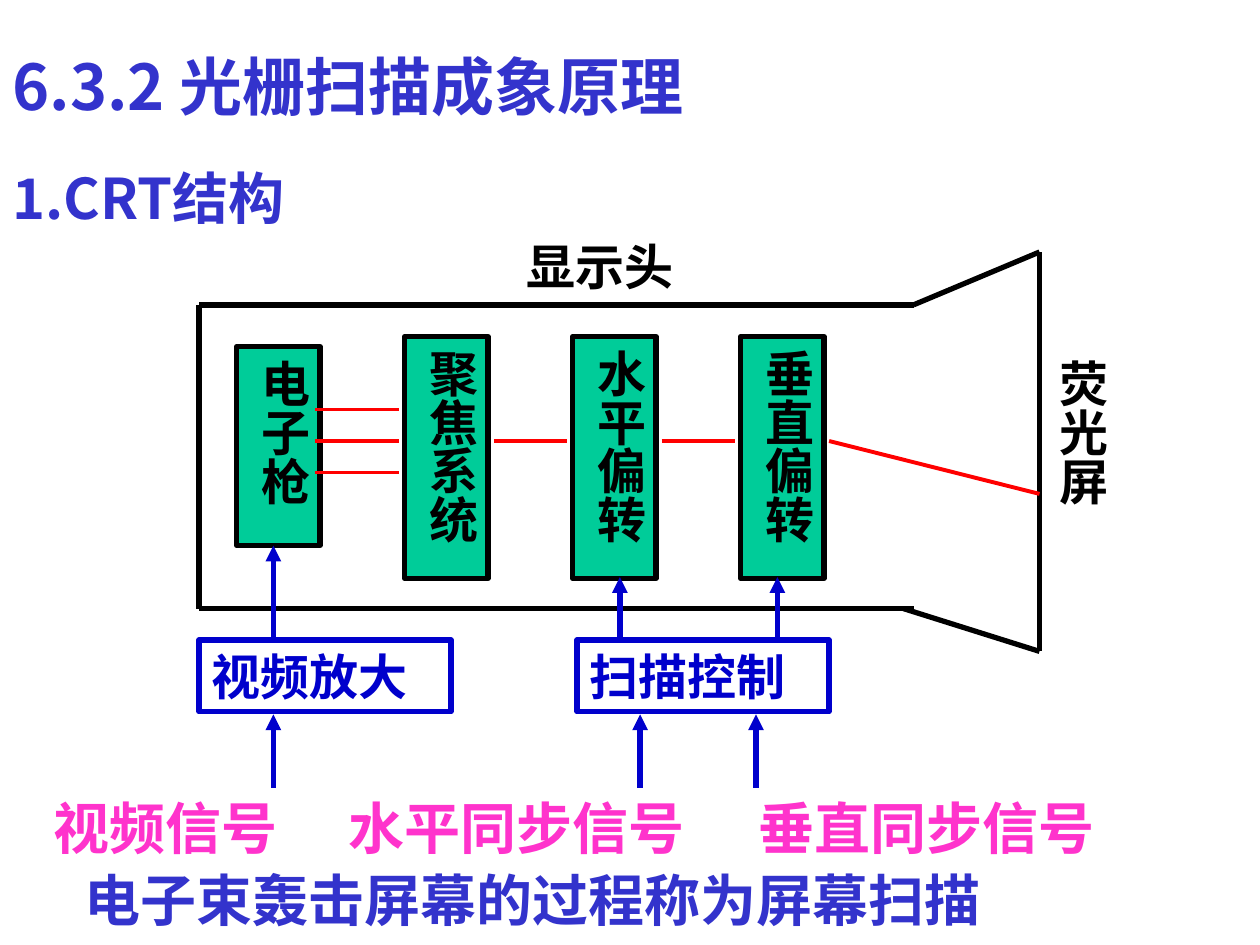
from dataclasses import dataclass
from lxml.etree import SubElement
from pptx import Presentation
from pptx.dml.color import RGBColor as RGB
from pptx.enum.shapes import MSO_CONNECTOR as Conn, MSO_SHAPE as Geo
from pptx.enum.text import MSO_ANCHOR as Anchor, MSO_AUTO_SIZE as Fit, PP_ALIGN as Align
from pptx.oxml.ns import qn
from pptx.util import Inches, Pt


@dataclass(frozen=True)
class Theme:
    ink: RGB = RGB(0, 0, 0)
    head: RGB = RGB(0x33, 0x33, 0xCC)
    blue: RGB = RGB(0, 0, 0xCC)
    pink: RGB = RGB(0xFF, 0x33, 0xCC)
    green: RGB = RGB(0, 0xCC, 0x99)
    beam: RGB = RGB(0xFF, 0, 0)
    sans: str = "Noto Sans CJK SC"
    serif: str = "Times New Roman"
    title: int = 36
    large: int = 32
    label: int = 28
    thick: float = 3
    thin: float = 2.25


theme = Theme()


def write(shape, text, size, color, font=theme.serif, upright=False):
    """Fill a shape with one bold line, running downwards if upright."""
    frame = shape.text_frame
    frame.text = text
    frame.word_wrap = True
    frame.auto_size = Fit.NONE
    frame.vertical_anchor = Anchor.TOP
    side, end = (0.05, 0.1) if upright else (0.1, 0.05)
    frame.margin_left = frame.margin_right = Inches(side)
    frame.margin_top = frame.margin_bottom = Inches(end)
    if upright:
        frame._txBody.bodyPr.set("vert", "eaVert")
    para = frame.paragraphs[0]
    para.alignment = Align.LEFT
    para.font.name = font
    para.font.size = Pt(size)
    para.font.bold = True
    para.font.color.rgb = color
    # East Asian glyphs always use the sans face
    SubElement(para._p.pPr.find(qn("a:defRPr")), qn("a:ea"), typeface=theme.sans)


def link(x1, y1, x2, y2, color, width, arrow=False):
    """Draw a straight line, with an arrowhead at its first point if asked."""
    line = shapes.add_connector(
        Conn.STRAIGHT, Inches(x1), Inches(y1), Inches(x2), Inches(y2))
    line.line.color.rgb = color
    line.line.width = Pt(width)
    props = line._element.spPr
    if arrow:
        SubElement(props.find(qn("a:ln")), qn("a:headEnd"), type="triangle")
    SubElement(props, qn("a:effectLst"))


deck = Presentation()
deck.slide_width, deck.slide_height = Inches(10), Inches(7.5)
slide = deck.slides.add_slide(deck.slide_layouts[5])
shapes = slide.shapes

# Title
title = shapes.title
title.left, title.top = Inches(0), Inches(0.33)
title.width, title.height = Inches(7), Inches(0.7)
write(title, "6.3.2 光栅扫描成象原理", theme.title, theme.head, theme.sans)

# Tube outline
left, neck, face = 1.58, 7.25, 8.25
roof, floor = 2.42, 4.83
for ends in [
    (left, roof, neck, roof),
    (left, floor, neck, floor),
    (left, roof, left, floor),
    (neck, roof, face, 2),
    (7.17, floor, face, 5.17),
    (face, 2, face, 5.17),
]:
    link(*ends, theme.ink, theme.thick)

# Parts inside the tube, evenly spaced
parts = [("电子枪", 2.75, 1.58), ("聚焦系统", 2.67, 1.92),
         ("水平偏转", 2.67, 1.92), ("垂直偏转", 2.67, 1.92)]
for i, (name, top, height) in enumerate(parts):
    part = shapes.add_shape(
        Geo.RECTANGLE, Inches(1.88 + i * 4 / 3), Inches(top),
        Inches(0.66), Inches(height))
    part.shadow.inherit = False
    part.fill.solid()
    part.fill.fore_color.rgb = theme.green
    part.line.color.rgb = theme.ink
    part.line.width = Pt(theme.thick)
    write(part, name, theme.label, theme.ink, upright=True)

# Electron beams
for y in (3.25, 3.5, 3.75):
    link(2.5, y, 3.17, y, theme.beam, theme.thin)
for x in (3.92, 5.25):
    link(x, 3.5, x + 0.58, 3.5, theme.beam, theme.thin)
link(6.58, 3.5, face, 3.92, theme.beam, theme.thin)

# Circuit boxes below the tube
for name, x in [("视频放大", 1.58), ("扫描控制", 4.58)]:
    box = shapes.add_shape(
        Geo.RECTANGLE, Inches(x), Inches(5.08), Inches(2), Inches(0.57))
    box.shadow.inherit = False
    box.fill.background()
    box.line.color.rgb = theme.blue
    box.line.width = Pt(theme.thick)
    write(box, name, theme.label, theme.blue)

# Arrows: signals into the boxes, boxes into the tube
for x in (2.17, 5.08, 6):
    link(x, 5.67, x, 6.25, theme.blue, theme.thick, arrow=True)
for x, tip in [(2.17, 4.33), (4.92, 4.58), (6.17, 4.58)]:
    link(x, tip, x, 5.08, theme.blue, theme.thick, arrow=True)

# Free text: heading, labels, signals and closing line
for text, x, y, w, h, size, color, font, upright in [
    ("1.CRT结构", 0, 1.25, 2.83, 1.17, theme.large, theme.head, theme.sans, False),
    ("显示头", 4.08, 1.83, 2.33, 0.57, theme.label, theme.ink, theme.serif, False),
    ("荧光屏", 8.21, 2.75, 0.66, 1.92, theme.label, theme.ink, theme.serif, True),
    ("视频信号", 0.33, 6.25, 2, 0.64, theme.large, theme.pink, theme.serif, False),
    ("水平同步信号", 2.67, 6.25, 3.17, 0.64, theme.large, theme.pink, theme.serif, False),
    ("垂直同步信号", 5.92, 6.25, 3.17, 0.64, theme.large, theme.pink, theme.serif, False),
    ("电子束轰击屏幕的过程称为屏幕扫描", 0.57, 6.82, 8.09, 0.64,
     theme.large, theme.head, theme.serif, False),
]:
    note = shapes.add_textbox(Inches(x), Inches(y), Inches(w), Inches(h))
    write(note, text, size, color, font, upright)

deck.save("out.pptx")
